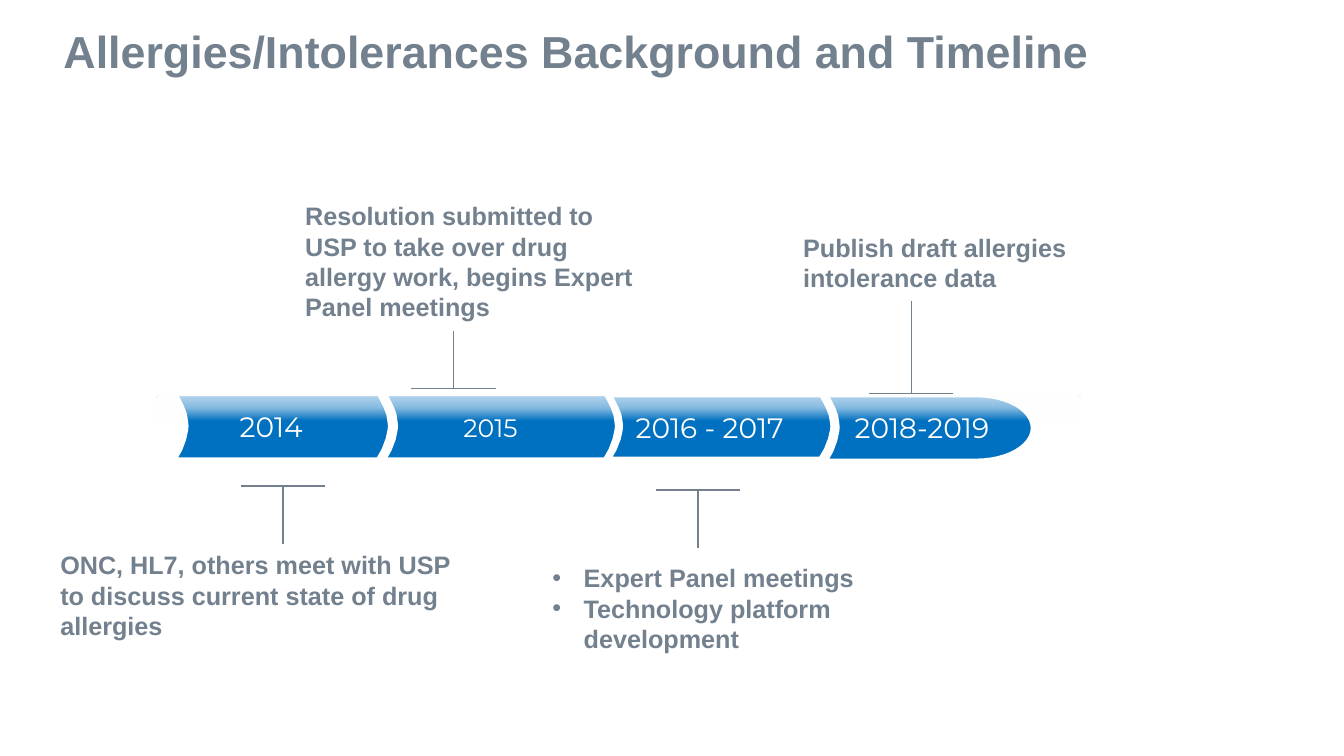
from math import cos, pi, sin

from pptx import Presentation
from pptx.dml.color import RGBColor
from pptx.enum.shapes import MSO_CONNECTOR, MSO_SHAPE
from pptx.enum.text import MSO_ANCHOR, MSO_AUTO_SIZE, PP_ALIGN
from pptx.oxml import parse_xml
from pptx.oxml.ns import nsdecls, qn
from pptx.util import Cm, Pt

LINE = MSO_CONNECTOR.STRAIGHT
ROUND = MSO_SHAPE.ROUNDED_RECTANGLE
TOP, MIDDLE = MSO_ANCHOR.TOP, MSO_ANCHOR.MIDDLE
LEFT = PP_ALIGN.LEFT
FIXED = MSO_AUTO_SIZE.NONE

GREY, BLUE, WHITE = "73808E", "0070C0", "FFFFFF"
TITLE = "Allergies/Intolerances Background and Timeline"

# All lengths are in centimetres.
# left, right, top, height, width of the rounded tip
BARS = [
    (4.42, 9.55, 9.93, 1.65, 0),
    (9.7, 15.27, 9.93, 1.65, 0),
    (20.83, 24.61, 9.96, 1.65, 1.42),
    (15.37, 20.7, 9.96, 1.6, 0),
]
# share of the bar height, shift to the right
CURVE = [(0, 0), (0.1, 0.09), (0.2, 0.17), (0.31, 0.24), (0.43, 0.27),
         (0.49, 0.28), (0.55, 0.27), (0.69, 0.22), (0.85, 0.12), (1, -0.02)]
GLOSS = (3.94, 9.96, 23.29, 0.64)
FADE = [(0, 71), (50, 51), (100, 0)]  # position and opacity in percent

# text, size, box
YEARS = [
    ("2018-2019", 20, (21.29, 10.21, 4.57, 1.12)),
    ("2016 - 2017", 20, (15.77, 10.21, 5.03, 1.12)),
    ("2015", 18, (11.43, 10.26, 2.21, 1.02)),
    ("2014", 20, (5.79, 10.19, 2.41, 1.12)),
]
# centre, height of the cap, far end of the stem, line width
MARKS = [
    (11.43, 9.8, 8.33, 0.75),
    (7.14, 12.24, 13.72, 1.5),
    (17.6, 12.34, 13.82, 1.5),
    (22.96, 9.91, 7.59, 0.75),
]
HALF = 1.06
NOTES = [
    ("ONC, HL7, others meet with USP to discuss current state of drug allergies",
     (1.27, 13.72, 10.74, 2.57)),
    ("Resolution submitted to USP to take over drug allergy work, "
     "begins Expert Panel meetings", (7.44, 4.93, 8.79, 3.33)),
    ("Publish draft allergies intolerance data", (19.99, 5.72, 8.08, 1.8)),
]
STEPS = ["Expert Panel meetings", "Technology platform development"]
STEPS_BOX = (13.67, 14.05, 8.79, 2.57)


def rgb(code):
    return RGBColor.from_string(code)


def place(shape, box):
    shape.left, shape.top, shape.width, shape.height = map(Cm, box)


def style(frame, size, name, color, bold, pad=(0.25, 0.13), anchor=TOP):
    frame.auto_size = FIXED
    frame.vertical_anchor = anchor
    frame.margin_left = frame.margin_right = Cm(pad[0])
    frame.margin_top = frame.margin_bottom = Cm(pad[1])
    for para in frame.paragraphs:
        para.alignment = LEFT
        para.space_before = Pt(0)
        for run in para.runs:
            font = run.font
            font.size, font.name, font.bold = Pt(size), name, bold
            font.color.rgb = rgb(color)


def add_text(slide, text, box, wrap, *look):
    frame = slide.shapes.add_textbox(*map(Cm, box)).text_frame
    frame.word_wrap = wrap
    frame.text = text
    style(frame, *look)


def add_bar(slide, left, right, top, high, tip):
    notch = [(left + dx, top + part * high) for part, dx in CURVE]
    if tip:
        turns = [pi * n / 24 for n in range(25)]
        end = [(right + tip * sin(a), top + high / 2 * (1 - cos(a))) for a in turns]
    else:
        end = [(right + dx, top + part * high) for part, dx in CURVE]
    points = [(Cm(x), Cm(y)) for x, y in notch + end[::-1]]
    pen = slide.shapes.build_freeform(*points[0])
    pen.add_line_segments(points[1:], close=True)
    bar = pen.convert_to_shape()
    bar.shadow.inherit = False
    bar.fill.solid()
    bar.fill.fore_color.rgb = rgb(BLUE)
    bar.line.color.rgb = rgb(WHITE)
    bar.line.width = Pt(3)


def add_gloss(slide):
    """Lay a white fade over the upper part of the bars."""
    gloss = slide.shapes.add_shape(ROUND, *map(Cm, GLOSS))
    gloss.shadow.inherit = False
    gloss.line.fill.background()
    gloss.fill.background()
    stops = "".join(
        f'<a:gs pos="{pos * 1000}"><a:srgbClr val="{WHITE}">'
        f'<a:alpha val="{part * 1000}"/></a:srgbClr></a:gs>' for pos, part in FADE)
    fade = parse_xml(f'<a:gradFill {nsdecls("a")}><a:gsLst>{stops}</a:gsLst>'
                     '<a:lin ang="5400000" scaled="0"/></a:gradFill>')
    props = gloss._element.spPr
    props.replace(props.find(qn("a:noFill")), fade)


def add_line(slide, start, end, width):
    line = slide.shapes.add_connector(LINE, *map(Cm, start + end))
    line.line.color.rgb = rgb(GREY)
    line.line.width = Pt(width)
    line._element.spPr.append(parse_xml(f'<a:effectLst {nsdecls("a")}/>'))


def fill_steps(body):
    place(body, STEPS_BOX)
    frame = body.text_frame
    frame.text = "\n".join(STEPS)
    for para in frame.paragraphs:
        props = para._p.get_or_add_pPr()
        props.set("marL", str(Cm(0.79)))
        props.set("indent", str(-Cm(0.79)))
        props.append(parse_xml(f'<a:buChar {nsdecls("a")} char="•"/>'))
    style(frame, 18, "Arial", GREY, True)


def main():
    deck = Presentation()
    deck.slide_width, deck.slide_height = Cm(33.87), Cm(19.05)
    slide = deck.slides.add_slide(deck.slide_layouts[1])
    title = slide.shapes.title
    place(title, (1.27, 0, 30.48, 2.54))
    title.text_frame.text = TITLE
    style(title.text_frame, 32, "Arial", GREY, True, (0.33, 0.18), MIDDLE)
    fill_steps(slide.placeholders[1])
    for bar in BARS:
        add_bar(slide, *bar)
    add_gloss(slide)
    for text, size, box in YEARS:
        add_text(slide, text, box, False, size, "Montserrat", WHITE, False)
    for mid, cap, far, width in MARKS:
        add_line(slide, (mid - HALF, cap), (mid + HALF, cap), width)
        add_line(slide, (mid, far), (mid, cap), width)
    for text, box in NOTES:
        add_text(slide, text, box, True, 18, "Arial", GREY, True)
    deck.save("out.pptx")


if __name__ == "__main__":
    main()
